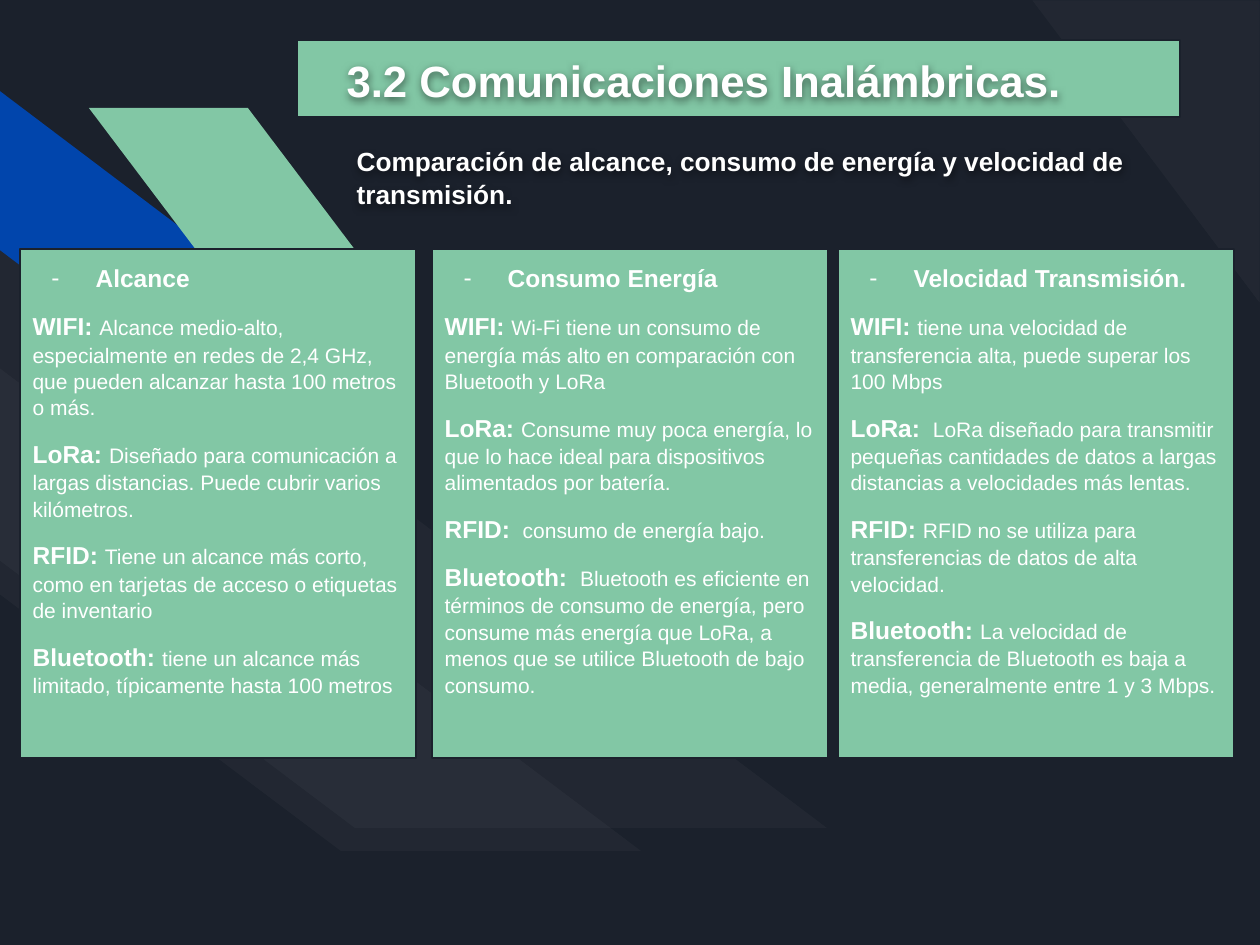
from dataclasses import dataclass

from lxml import etree
from pptx import Presentation
from pptx.dml.color import RGBColor
from pptx.enum.shapes import MSO_SHAPE
from pptx.enum.text import MSO_ANCHOR, MSO_AUTO_SIZE, PP_ALIGN
from pptx.oxml.ns import qn
from pptx.util import Inches, Pt

STRIPE, RECTANGLE = MSO_SHAPE.DIAGONAL_STRIPE, MSO_SHAPE.RECTANGLE
LEFT, TOP, MIDDLE = PP_ALIGN.LEFT, MSO_ANCHOR.TOP, MSO_ANCHOR.MIDDLE
NO_AUTOFIT = MSO_AUTO_SIZE.NONE
PX_PER_INCH = 126
COMPARISON_LAYOUT = 4


@dataclass(frozen=True)
class Theme:
    font: str = "Arial"
    dark: str = "1B212C"
    green: str = "82C7A5"
    blue: str = "0145AC"
    white: str = "FFFFFF"
    title: int = 25
    subtitle: int = 15
    heading: int = 14
    body: int = 12
    paragraph_gap: int = 10
    line_spacing: float = 1.05


def px(value):
    return Inches(value / PX_PER_INCH)


class SlideBuilder:
    def __init__(self, slide, theme):
        self.slide = slide
        self.theme = theme
        background = slide.background.fill
        background.solid()
        background.fore_color.rgb = RGBColor.from_string(theme.dark)

    def paint(self, shape, color, outlined=False):
        shape.fill.solid()
        shape.fill.fore_color.rgb = RGBColor.from_string(color)
        if outlined:
            shape.line.color.rgb = RGBColor.from_string(self.theme.dark)
            shape.line.width = Pt(0.75)
        else:
            shape.line.fill.background()

    def stripe(self, box, color, cut=0.5, flip=None, rotation=0, opacity=100):
        """Diagonal stripe; flip is None, "flipH" or "flipV"."""
        shape = self.slide.shapes.add_shape(STRIPE, *map(px, box))
        shape.shadow.inherit = False
        shape.adjustments[0] = cut
        shape.rotation = rotation
        self.paint(shape, color)
        if flip:
            shape._element.spPr.find(qn("a:xfrm")).set(flip, "1")
        if opacity < 100:
            rgb = shape._element.spPr.find(qn("a:solidFill"))[0]
            etree.SubElement(rgb, qn("a:alpha"), val=str(opacity * 1000))

    def band(self, box):
        shape = self.slide.shapes.add_shape(RECTANGLE, *map(px, box))
        shape.shadow.inherit = False
        self.paint(shape, self.theme.green, outlined=True)

    def place(self, index, box, anchor=TOP):
        """Move a placeholder into its box, in front of everything so far."""
        shape = self.slide.placeholders[index]
        self.slide.shapes._spTree.append(shape._element)
        shape.left, shape.top, shape.width, shape.height = map(px, box)
        frame = shape.text_frame
        frame.word_wrap = True
        frame.auto_size = NO_AUTOFIT
        frame.vertical_anchor = anchor
        frame.margin_left = frame.margin_right = Inches(0.1)
        frame.margin_top = frame.margin_bottom = Inches(0.1)
        return shape

    def format_paragraph(self, paragraph, gap=0, dash=False):
        paragraph.alignment = LEFT
        paragraph.line_spacing = self.theme.line_spacing
        paragraph.space_before = Pt(gap)
        paragraph.space_after = Pt(0)
        properties = paragraph._p.get_or_add_pPr()
        properties.set("marL", str(Inches(0.5) if dash else 0))
        properties.set("indent", str(Inches(-0.35) if dash else 0))
        if dash:
            color = etree.SubElement(properties, qn("a:buClr"))
            etree.SubElement(color, qn("a:srgbClr"), val=self.theme.white)
            etree.SubElement(properties, qn("a:buFont"), typeface=self.theme.font)
            etree.SubElement(properties, qn("a:buChar"), char="-")
        else:
            etree.SubElement(properties, qn("a:buNone"))

    def format_run(self, run, size, bold=True):
        font = run.font
        font.name = self.theme.font
        font.size = Pt(size)
        font.bold = bold
        font.color.rgb = RGBColor.from_string(self.theme.white)

    def shadowed_text(self, index, box, text, size, anchor=TOP):
        shape = self.place(index, box, anchor)
        shape.text_frame.text = text
        paragraph = shape.text_frame.paragraphs[0]
        self.format_paragraph(paragraph)
        self.format_run(paragraph.runs[0], size)
        effects = etree.SubElement(shape._element.spPr, qn("a:effectLst"))
        shadow = etree.SubElement(effects, qn("a:outerShdw"), blurRad="57150",
                                  dist="19050", dir="5400000", algn="bl", rotWithShape="0")
        color = etree.SubElement(shadow, qn("a:srgbClr"), val="000000")
        etree.SubElement(color, qn("a:alpha"), val="50000")

    def card(self, index, box, heading, entries):
        shape = self.place(index, box)
        self.paint(shape, self.theme.green, outlined=True)
        frame = shape.text_frame
        frame.text = heading
        self.format_paragraph(frame.paragraphs[0], dash=True)
        self.format_run(frame.paragraphs[0].runs[0], self.theme.heading)
        for label, description in entries:
            paragraph = frame.add_paragraph()
            self.format_paragraph(paragraph, gap=self.theme.paragraph_gap)
            for text, size, bold in ((f"{label}: ", self.theme.heading, True),
                                     (description, self.theme.body, False)):
                run = paragraph.add_run()
                run.text = text
                self.format_run(run, size, bold)


TECHNOLOGIES = ("WIFI", "LoRa", "RFID", "Bluetooth")
CARDS = (
    (20, "Alcance", (
        "Alcance medio-alto, especialmente en redes de 2,4 GHz, que pueden alcanzar hasta 100 metros o más.",
        "Diseñado para comunicación a largas distancias. Puede cubrir varios kilómetros.",
        "Tiene un alcance más corto, como en tarjetas de acceso o etiquetas de inventario",
        "tiene un alcance más limitado, típicamente hasta 100 metros",
    )),
    (432, "Consumo Energía", (
        "Wi-Fi tiene un consumo de energía más alto en comparación con Bluetooth y LoRa",
        "Consume muy poca energía, lo que lo hace ideal para dispositivos alimentados por batería.",
        " consumo de energía bajo.",
        " Bluetooth es eficiente en términos de consumo de energía, pero consume más energía que LoRa, "
        "a menos que se utilice Bluetooth de bajo consumo.",
    )),
    (838, "Velocidad Transmisión.", (
        "tiene una velocidad de transferencia alta, puede superar los 100 Mbps",
        " LoRa diseñado para transmitir pequeñas cantidades de datos a largas distancias "
        "a velocidades más lentas.",
        "RFID no se utiliza para transferencias de datos de alta velocidad.",
        "La velocidad de transferencia de Bluetooth es baja a media, generalmente entre 1 y 3 Mbps.",
    )),
)


def main():
    presentation = Presentation()
    presentation.slide_width, presentation.slide_height = px(1260), px(945)
    slide = presentation.slides.add_slide(presentation.slide_layouts[COMPARISON_LAYOUT])
    theme = Theme()
    builder = SlideBuilder(slide, theme)

    builder.stripe((995, 38, 302, 227), theme.white, cut=0, rotation=90, opacity=3)
    builder.stripe((-117, 117, 944, 711), theme.white, flip="flipV", opacity=3)
    builder.stripe((-91, 300, 732, 551), theme.white, cut=0.59, flip="flipV", opacity=3)
    builder.stripe((-52, 52, 421, 318), theme.blue, flip="flipV")
    builder.stripe((89, 108, 318, 421), theme.green, flip="flipH")

    builder.band((297, 40, 883, 77))
    builder.shadowed_text(0, (334, 38, 779, 81), "3.2 Comunicaciones Inalámbricas.",
                          theme.title, MIDDLE)
    builder.shadowed_text(1, (344, 131, 805, 96),
                          "Comparación de alcance, consumo de energía y velocidad de transmisión.",
                          theme.subtitle)
    for index, (left, heading, descriptions) in enumerate(CARDS, start=2):
        builder.card(index, (left, 249, 396, 509), heading, zip(TECHNOLOGIES, descriptions))

    presentation.save("out.pptx")


if __name__ == "__main__":
    main()
